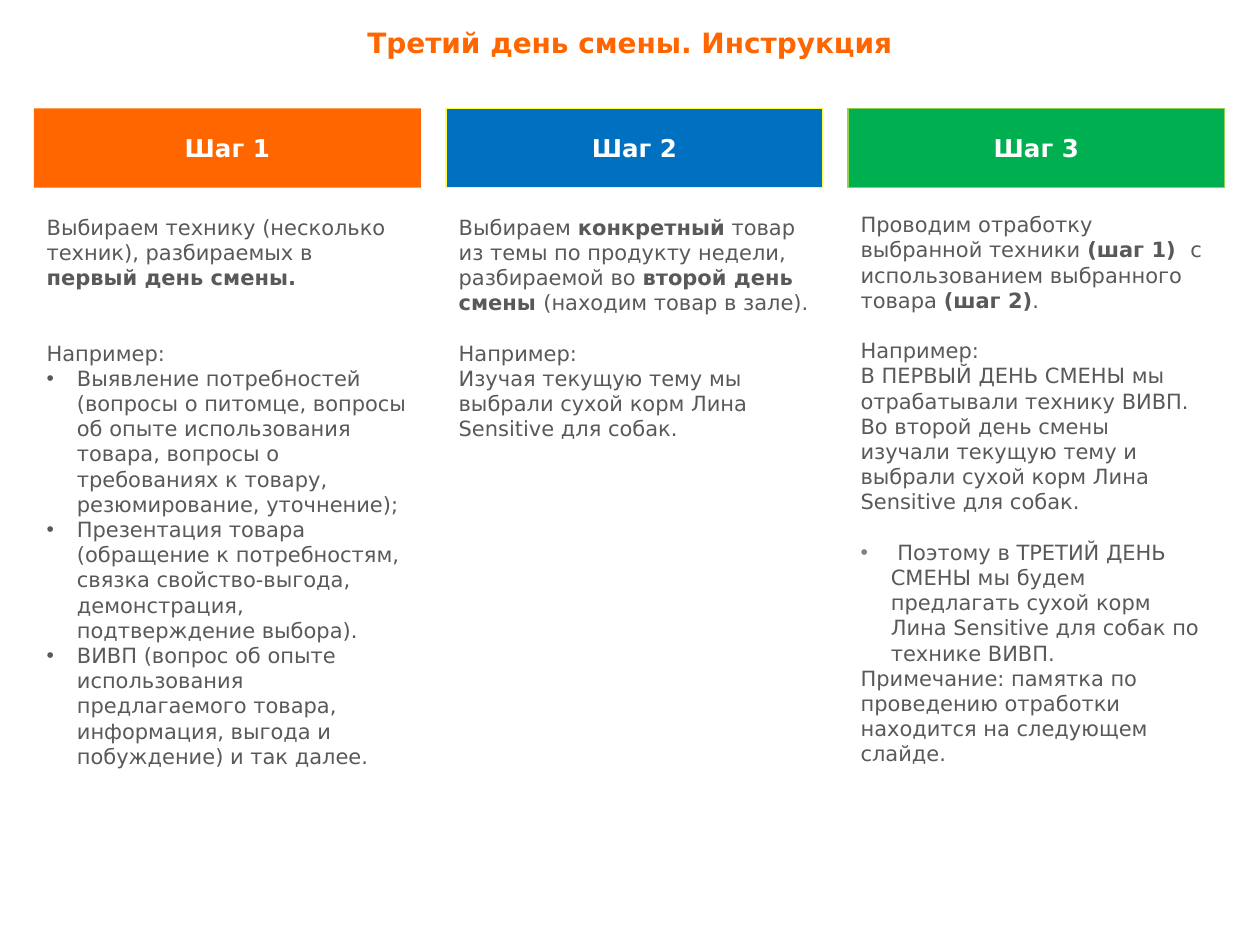
import pptx
import pptx.dml.color
import pptx.enum.shapes
import pptx.enum.text
import pptx.oxml.ns
import pptx.util
from lxml import etree

Inches = pptx.util.Inches
Pt = pptx.util.Pt
Align = pptx.enum.text.PP_ALIGN
Anchor = pptx.enum.text.MSO_ANCHOR

FONT = "DejaVu Sans"
LEADING = 1.2
COLORS = {
    "orange": "FF6600",
    "blue": "0070C0",
    "green": "00B050",
    "yellow": "FFFF47",
    "lime": "92D050",
    "white": "FFFFFF",
    "text": "595959",
    "gray": "808080",
}
PRODUCT = "сухой корм Лина Sensitive для собак"

STEPS = [
    {
        "name": "Шаг 1", "left": 0.27, "width": 3.07, "fill": "orange", "line": None,
        "body": (1.65, 3.07, 4.96),
        "paragraphs": [
            {"spans": ["Выбираем технику (несколько техник), разбираемых в ",
                       ("первый день смены.", True)]},
            {"spans": ["Например:"], "gap": 2},
            {"spans": ["Выявление потребностей (вопросы о питомце, вопросы об опыте "
                       "использования товара, вопросы о требованиях к товару, "
                       "резюмирование, уточнение);"], "bullet": "text"},
            {"spans": ["Презентация товара (обращение к потребностям, связка "
                       "свойство-выгода, демонстрация, подтверждение выбора)."],
             "bullet": "text"},
            {"spans": ["ВИВП (вопрос об опыте использования предлагаемого товара, "
                       "информация, выгода и побуждение) и так далее."],
             "bullet": "text"},
        ],
    },
    {
        "name": "Шаг 2", "left": 3.54, "width": 2.99, "fill": "blue", "line": "yellow",
        "body": (1.65, 2.99, 2.99),
        "paragraphs": [
            {"spans": ["Выбираем ", ("конкретный", True),
                       " товар из темы по продукту недели, разбираемой во ",
                       ("второй день смены ", True), "(находим товар в зале)."]},
            {"spans": ["Например:"], "gap": 1},
            {"spans": [f"Изучая текущую тему мы выбрали {PRODUCT}."]},
        ],
    },
    {
        "name": "Шаг 3", "left": 6.73, "width": 2.99, "fill": "green", "line": "lime",
        "body": (1.63, 2.91, 4.96),
        "paragraphs": [
            {"spans": ["Проводим отработку выбранной техники ", ("(шаг 1)  ", True),
                       "с использованием выбранного товара ", ("(шаг 2)", True), "."]},
            {"spans": ["Например:"], "gap": 1},
            {"spans": ["В ПЕРВЫЙ ДЕНЬ СМЕНЫ мы отрабатывали технику ВИВП. Во второй "
                       f"день смены изучали текущую тему и выбрали {PRODUCT}."]},
            {"spans": [f" Поэтому в ТРЕТИЙ ДЕНЬ СМЕНЫ мы будем предлагать {PRODUCT} "
                       "по технике ВИВП."], "gap": 1, "bullet": "gray"},
            {"spans": ["Примечание: памятка по проведению отработки находится на "
                       "следующем слайде."]},
        ],
    },
]


def rgb(name):
    return pptx.dml.color.RGBColor.from_string(COLORS[name])


def place(shape, left, top, width, height):
    shape.left, shape.top = Inches(left), Inches(top)
    shape.width, shape.height = Inches(width), Inches(height)


def prepare_frame(frame, anchor):
    frame.word_wrap = True
    frame.auto_size = pptx.enum.text.MSO_AUTO_SIZE.NONE
    frame.vertical_anchor = anchor


def add_text(para, text, size=12, color="text", bold=False):
    span = para.add_run()
    span.text = text
    span.font.name = FONT
    span.font.size = Pt(size)
    span.font.bold = bold
    span.font.color.rgb = rgb(color)


def format_paragraph(para, size=12, align=Align.LEFT, gap=0, bullet=None):
    para.alignment = align
    para.line_spacing = Pt(size * LEADING)
    para.space_before = Pt(gap * size * LEADING)
    para.space_after = Pt(0)
    indent = Inches(0.24) if bullet else 0
    properties = para._p.get_or_add_pPr()
    properties.set("marL", str(indent))
    properties.set("indent", str(-indent))
    qn = pptx.oxml.ns.qn
    if bullet:
        color = etree.SubElement(properties, qn("a:buClr"))
        etree.SubElement(color, qn("a:srgbClr"), val=COLORS[bullet])
        etree.SubElement(properties, qn("a:buFont"), typeface="Arial")
        etree.SubElement(properties, qn("a:buChar"), char="•")
    else:
        etree.SubElement(properties, qn("a:buNone"))


def fill_title(title, left, top, width, height):
    place(title, left, top, width, height)
    prepare_frame(title.text_frame, Anchor.TOP)
    para = title.text_frame.paragraphs[0]
    format_paragraph(para, size=16, align=Align.CENTER)
    add_text(para, "Третий день смены. Инструкция", size=16, color="orange", bold=True)


def add_header(page, step, left, top, width, height):
    box = page.shapes.add_shape(
        pptx.enum.shapes.MSO_SHAPE.RECTANGLE,
        Inches(left), Inches(top), Inches(width), Inches(height))
    box.shadow.inherit = False
    box.fill.solid()
    box.fill.fore_color.rgb = rgb(step["fill"])
    if step["line"]:
        box.line.color.rgb = rgb(step["line"])
        box.line.width = Pt(0.75)
    else:
        box.line.fill.background()
    prepare_frame(box.text_frame, Anchor.MIDDLE)
    para = box.text_frame.paragraphs[0]
    para.alignment = Align.CENTER
    add_text(para, step["name"], size=14, color="white", bold=True)


def fill_body(body, paragraphs, left, top, width, height):
    place(body, left, top, width, height)
    frame = body.text_frame
    prepare_frame(frame, Anchor.TOP)
    for index, content in enumerate(paragraphs):
        para = frame.add_paragraph() if index else frame.paragraphs[0]
        format_paragraph(para, gap=content.get("gap", 0), bullet=content.get("bullet"))
        for span in content["spans"]:
            text, bold = (span, False) if isinstance(span, str) else span
            add_text(para, text, bold=bold)


def main():
    deck = pptx.Presentation()
    deck.slide_width, deck.slide_height = Inches(10), Inches(7.5)
    page = deck.slides.add_slide(deck.slide_layouts.get_by_name("Comparison"))
    title, *bodies = page.placeholders
    fill_title(title, 0, 0.15, 10, 0.37)
    for step, body in zip(STEPS, bodies):
        add_header(page, step, step["left"], 0.86, step["width"], 0.63)
        fill_body(body, step["paragraphs"], step["left"], *step["body"])
    for spare in bodies[len(STEPS):]:
        spare.element.getparent().remove(spare.element)
    deck.save("out.pptx")


if __name__ == "__main__":
    main()
